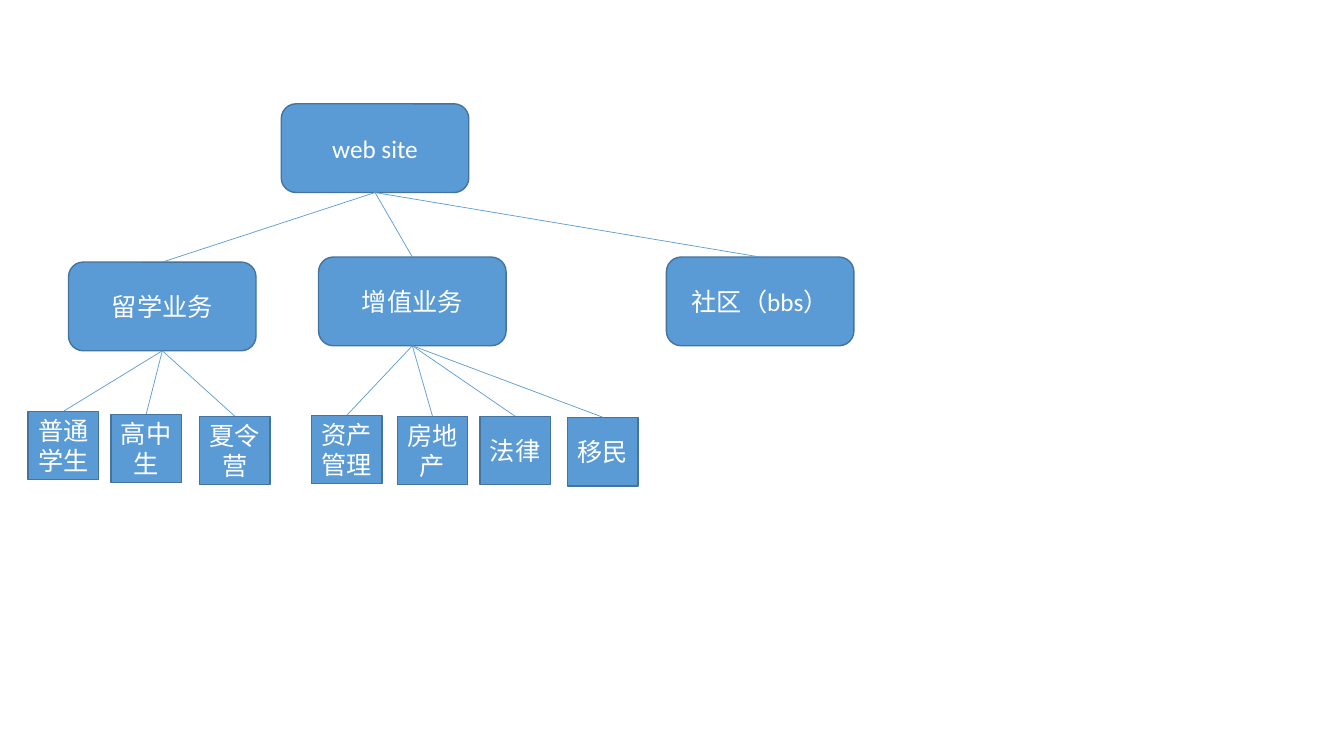
from pptx import Presentation
from pptx.dml.color import RGBColor
from pptx.enum.shapes import MSO_CONNECTOR, MSO_SHAPE
from pptx.enum.text import MSO_ANCHOR, PP_ALIGN
from pptx.oxml.ns import qn
from pptx.util import Inches, Pt
from lxml import etree

STRAIGHT = MSO_CONNECTOR.STRAIGHT
ROUNDED, SQUARE = MSO_SHAPE.ROUNDED_RECTANGLE, MSO_SHAPE.RECTANGLE
MIDDLE, CENTER = MSO_ANCHOR.MIDDLE, PP_ALIGN.CENTER
TOP_SITE, BOTTOM_SITE = 0, 2
BLANK_LAYOUT = 6

THEME = {
    "font": "Calibri",
    "size": Pt(18),
    "text": RGBColor(0xFF, 0xFF, 0xFF),
    "fill": RGBColor(0x5B, 0x9B, 0xD5),
    "border": RGBColor(0x43, 0x73, 0x9E),
    "border_width": Pt(1),
    "link_width": Pt(0.5),
}

# Each node: label, left, top (inches), children
SITE_TREE = ("web site", 2.79, 1.03, [
    ("留学业务", 0.68, 2.6, [
        ("普通学生", 0.28, 4.08, []),
        ("高中生", 1.1, 4.11, []),
        ("夏令营", 1.98, 4.13, []),
    ]),
    ("增值业务", 3.16, 2.55, [
        ("资产管理", 3.09, 4.12, []),
        ("房地产", 3.94, 4.13, []),
        ("法律", 4.76, 4.13, []),
        ("移民", 5.63, 4.14, []),
    ]),
    ("社区（bbs）", 6.61, 2.55, []),
])

# Shape, width and height (inches) for each level of the tree
LEVELS = [(ROUNDED, 1.86, 0.88), (ROUNDED, 1.86, 0.88), (SQUARE, 0.7, 0.68)]


def add_box(slide, label, left, top, level):
    """Add one labelled node in the style of its tree level."""
    kind, width, height = LEVELS[level]
    box = slide.shapes.add_shape(
        kind, Inches(left), Inches(top), Inches(width), Inches(height))
    box.shadow.inherit = False
    box.fill.solid()
    box.fill.fore_color.rgb = THEME["fill"]
    box.line.color.rgb = THEME["border"]
    box.line.width = THEME["border_width"]
    frame = box.text_frame
    frame.text = label
    frame.word_wrap = True
    frame.vertical_anchor = MIDDLE
    frame.margin_left = frame.margin_right = Inches(0.05)
    para = frame.paragraphs[0]
    para.alignment = CENTER
    for span in para.runs:
        span.font.name = THEME["font"]
        span.font.size = THEME["size"]
        span.font.color.rgb = THEME["text"]
    return box


def add_link(slide, parent, child):
    """Join the bottom of a parent box to the top of a child box."""
    link = slide.shapes.add_connector(STRAIGHT, 0, 0, 0, 0)
    link.begin_connect(parent, BOTTOM_SITE)
    link.end_connect(child, TOP_SITE)
    link.line.color.rgb = THEME["fill"]
    link.line.width = THEME["link_width"]
    etree.SubElement(link._element.spPr, qn("a:effectLst"))


def add_branch(slide, node, level=0):
    """Add a node, its descendants and the links between them."""
    label, left, top, children = node
    box = add_box(slide, label, left, top, level)
    for child in children:
        add_link(slide, box, add_branch(slide, child, level + 1))
    return box


deck = Presentation()
deck.slide_width, deck.slide_height = Inches(13.33), Inches(7.5)
page = deck.slides.add_slide(deck.slide_layouts[BLANK_LAYOUT])
add_branch(page, SITE_TREE)
deck.save("out.pptx")
